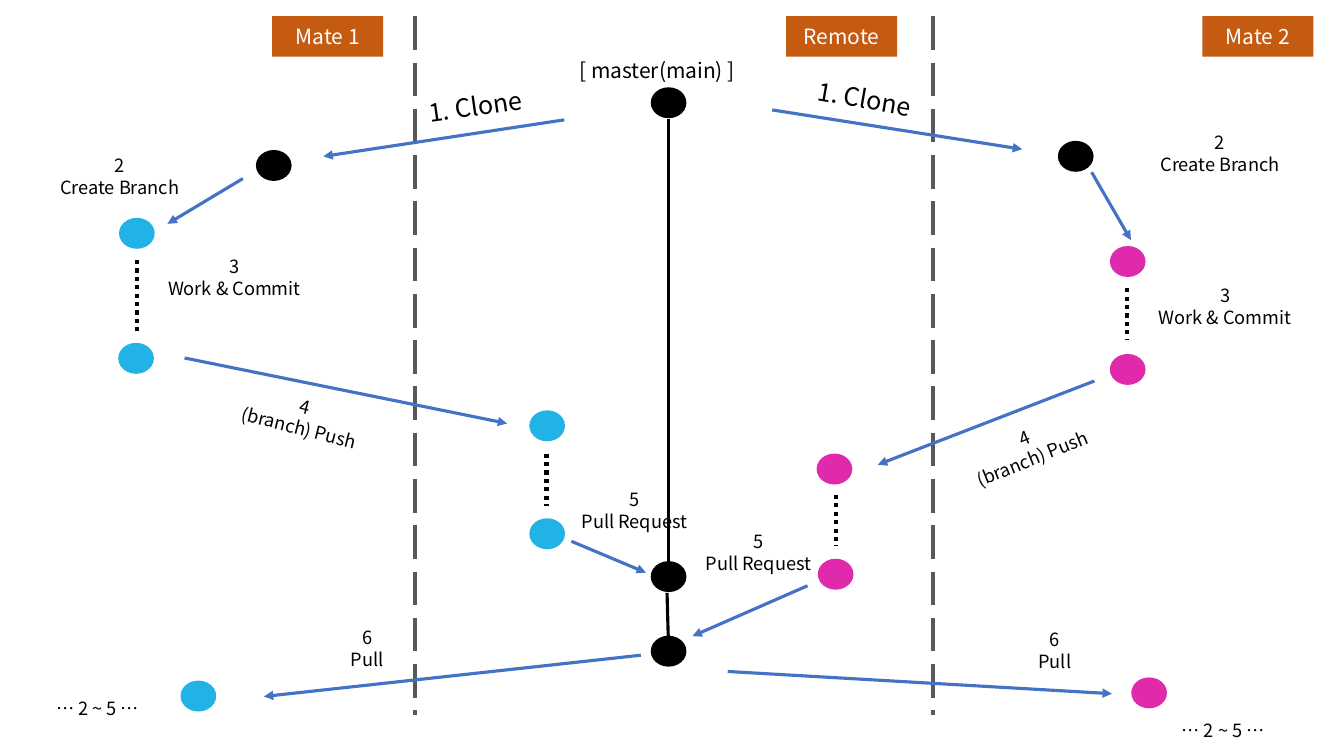
"""Draw a Git teamwork flow between two mates and a remote."""
from lxml import etree
from pptx import Presentation
from pptx.dml.color import RGBColor
from pptx.enum.dml import MSO_LINE
from pptx.enum.shapes import MSO_CONNECTOR, MSO_SHAPE
from pptx.enum.text import MSO_ANCHOR, PP_ALIGN
from pptx.oxml.ns import qn
from pptx.util import Cm, Pt

OVAL, RECT = MSO_SHAPE.OVAL, MSO_SHAPE.RECTANGLE
STRAIGHT = MSO_CONNECTOR.STRAIGHT
DASH, DOTS = MSO_LINE.LONG_DASH, MSO_LINE.ROUND_DOT
LEFT, MID = PP_ALIGN.LEFT, PP_ALIGN.CENTER
CENTRE = MSO_ANCHOR.MIDDLE
FONT = "Noto Sans CJK KR"
BLACK, WHITE, GREY, BLUE = "000000", "FFFFFF", "595959", "4472C4"
CYAN, PINK, RUST = "22B3E6", "DE2AAB", "C55A11"
DOT_W, DOT_H = 0.9, 0.78
WIDE, SLIM = 4.75, 4.24

TAGS = [("Mate 1", 6.86), ("Remote", 19.81), ("Mate 2", 30.3)]
WALLS = [10.46, 23.52]
TRUNK = [(16.84, 3, 16.84, 14.15), (16.84, 16.03, 16.81, 14.94)]
WORK = [(3.45, 6.55, 8.36), (13.77, 11.43, 12.75),
        (28.4, 7.26, 8.56), (21.06, 12.47, 13.77)]
COMMITS = {
    BLACK: [(16.85, 2.59), (6.9, 4.17), (27.11, 3.94),
            (16.85, 14.53), (16.85, 16.41)],
    CYAN: [(3.45, 5.88), (3.43, 9.03), (13.79, 10.73),
           (13.79, 13.45), (5, 17.54)],
    PINK: [(28.42, 6.59), (28.42, 9.31), (21.03, 11.82),
           (21.06, 14.47), (28.96, 17.46)],
}
MOVES = [
    (14.22, 3.02, 8.15, 3.94), (19.46, 2.77, 25.76, 3.76),
    (6.12, 4.5, 4.22, 5.64), (27.51, 4.34, 28.5, 6.05),
    (4.65, 9.02, 12.78, 10.67), (27.58, 9.6, 22.12, 11.71),
    (14.4, 13.64, 16.28, 14.43), (20.35, 14.76, 17.45, 16.03),
    (16.15, 16.51, 6.65, 17.55), (18.34, 16.92, 28.02, 17.48),
]
HEADS = [("[ master(main) ]", 14.35, 1.32, 5.05, 0.89, 15, 0),
         ("1. Clone", 10.54, 2.13, 3.33, 1.02, 18, -8.1),
         ("1. Clone", 20.35, 2.03, 3.48, 1.02, 18, 9.9)]
STEPS = [
    ("2\nCreate Branch", WIDE, [(0.64, 3.76, 0), (28.37, 3.18, 0)]),
    ("3\nWork & Commit", WIDE, [(3.53, 6.3, 0), (28.5, 7.04, 0)]),
    ("4\n(branch) Push", SLIM, [(5.49, 9.83, 14.3), (23.8, 10.62, -21.9)]),
    ("5\nPull Request", SLIM, [(13.87, 12.19, 0), (16.99, 13.23, 0)]),
    ("6\nPull", WIDE, [(6.88, 15.65, 0), (24.21, 15.72, 0)]),
    ("… 2 ~ 5 …", WIDE, [(0.08, 17.45, 0), (28.45, 18.01, 0)]),
]


def rgb(code):
    """Turn a hex string into a colour."""
    return RGBColor.from_string(code)


def write(frame, text, size, hue, align):
    """Set the text of a frame and format its runs."""
    frame.text = text
    for para in frame.paragraphs:
        para.alignment = align
        for run in para.runs:
            font = run.font
            font.name, font.size = FONT, Pt(size)
            font.color.rgb = rgb(hue)
            east = etree.SubElement(run._r.get_or_add_rPr(), qn("a:ea"))
            east.set("typeface", FONT)


def form(slide, kind, x, y, wide, high, hue):
    """Add a plain filled shape."""
    shape = slide.shapes.add_shape(kind, Cm(x), Cm(y), Cm(wide), Cm(high))
    shape.shadow.inherit = False
    shape.fill.solid()
    shape.fill.fore_color.rgb = rgb(hue)
    shape.line.fill.background()
    return shape


def dot(slide, x, y, hue):
    """Add a commit dot centred on a point."""
    form(slide, OVAL, x - DOT_W / 2, y - DOT_H / 2, DOT_W, DOT_H, hue)


def tag(slide, text, x):
    """Add the name plate of a lane."""
    plate = form(slide, RECT, x, 0.41, 2.8, 1.02, RUST)
    plate.text_frame.vertical_anchor = CENTRE
    write(plate.text_frame, text, 15, WHITE, MID)


def label(slide, text, x, y, wide, high, size, turn, align):
    """Add a text box, turned by some degrees."""
    box = slide.shapes.add_textbox(Cm(x), Cm(y), Cm(wide), Cm(high))
    box.rotation = turn
    box.text_frame.word_wrap = True
    write(box.text_frame, text, size, BLACK, align)


def line(slide, ends, hue, width=2.25, dash=None, head=False):
    """Add a line, with an arrowhead at its end if asked."""
    link = slide.shapes.add_connector(STRAIGHT, *map(Cm, ends))
    link.line.color.rgb = rgb(hue)
    link.line.width = Pt(width)
    if dash:
        link.line.dash_style = dash
    if head:
        tip = etree.SubElement(link.line._get_or_add_ln(), qn("a:tailEnd"))
        tip.set("type", "triangle")
    etree.SubElement(link._element.spPr, qn("a:effectLst"))


def main():
    """Build the slide and save it."""
    deck = Presentation()
    deck.slide_width, deck.slide_height = Cm(33.87), Cm(19.05)
    slide = deck.slides.add_slide(deck.slide_layouts[6])
    for ends in TRUNK:
        line(slide, ends, BLACK)
    for x in WALLS:
        line(slide, (x, 0.41, x, 18.01), GREY, 3, DASH)
    for x, top, end in WORK:
        line(slide, (x, top, x, end), BLACK, 3, DOTS)
    for ends in MOVES:
        line(slide, ends, BLUE, head=True)
    for hue, spots in COMMITS.items():
        for x, y in spots:
            dot(slide, x, y, hue)
    for text, x in TAGS:
        tag(slide, text, x)
    for head in HEADS:
        label(slide, *head, LEFT)
    for text, wide, spots in STEPS:
        high = 1.37 if "\n" in text else 0.81
        for x, y, turn in spots:
            label(slide, text, x, y, wide, high, 13, turn, MID)
    deck.save("out.pptx")


main()
